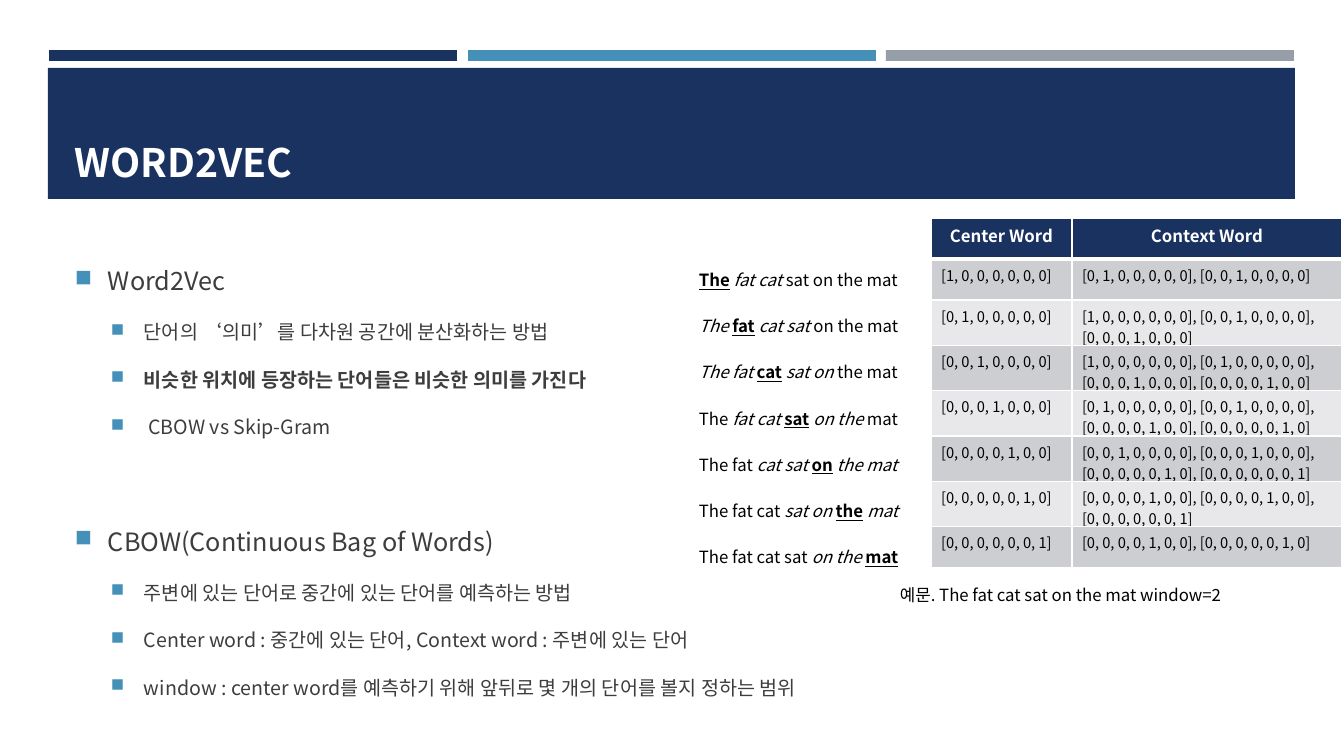
import pptx
import pptx.util
import pptx.dml.color
import pptx.enum.shapes
import pptx.enum.text
import lxml.etree

Pt = pptx.util.Pt
RGB = pptx.dml.color.RGBColor
ALIGN = pptx.enum.text.PP_ALIGN
ANCHOR = pptx.enum.text.MSO_ANCHOR
NAVY = RGB(0x1A, 0x32, 0x60)
BLUE = RGB(0x45, 0x90, 0xB8)
GRAY = RGB(0x96, 0x9F, 0xA7)
DARK = RGB(0x3D, 0x3D, 0x3D)
BLACK = RGB(0, 0, 0)
WHITE = RGB(255, 255, 255)
BANDS = [RGB(0xE8, 0xE8, 0xEA), RGB(0xCD, 0xCE, 0xD2)]
FACE = "Noto Sans CJK KR"
NS = "http://schemas.openxmlformats.org/drawingml/2006/main"


def px(*sizes):
    return [pptx.util.Emu(round(size * 914400 / 100.8)) for size in sizes]


def write(para, text, size, color, bold=False, italic=False, under=False):
    run = para.add_run()
    run.text = text
    font = run.font
    font.size, font.name = Pt(size), FACE
    font.color.rgb = color
    font.bold, font.italic, font.underline = bold, italic, under
    # Korean letters take their face from a:ea
    east = lxml.etree.SubElement(run._r.get_or_add_rPr(), f"{{{NS}}}ea")
    east.set("typeface", FACE)


deck = pptx.Presentation()
deck.slide_width, deck.slide_height = px(1344, 756)
slide = deck.slides.add_slide(deck.slide_layouts[6])
shapes = slide.shapes

# Top bars and title band
bars = [
    (49, 50, 408, 11, NAVY),
    (468, 50, 408, 11, BLUE),
    (886, 50, 408, 11, GRAY),
    (48, 68, 1247, 131, NAVY),
]
for left, top, width, height, color in bars:
    bar = shapes.add_shape(pptx.enum.shapes.MSO_SHAPE.RECTANGLE, *px(left, top, width, height))
    bar.shadow.inherit = False
    bar.fill.solid()
    bar.fill.fore_color.rgb = color
    bar.line.fill.background()

# Title
title = shapes.add_textbox(*px(65, 78, 1216, 112)).text_frame
title.word_wrap = True
title.vertical_anchor = ANCHOR.BOTTOM
write(title.paragraphs[0], "WORD2VEC", 28, WHITE, bold=True)

# Bulleted text: level, text, bold
points = [
    (0, "Word2Vec", False),
    (1, "단어의 ‘의미’를 다차원 공간에 분산화하는 방법", False),
    (1, "비슷한 위치에 등장하는 단어들은 비슷한 의미를 가진다", True),
    (1, " CBOW vs Skip-Gram", False),
    (0, "CBOW(Continuous Bag of Words)", False),
    (1, "주변에 있는 단어로 중간에 있는 단어를 예측하는 방법", False),
    (1, "Center word : 중간에 있는 단어, Context word : 주변에 있는 단어", False),
    (1, "window : center word를 예측하기 위해 앞뒤로 몇 개의 단어를 볼지 정하는 범위", False),
]
body = shapes.add_textbox(*px(65, 236, 1216, 478)).text_frame
body.word_wrap = True
body.vertical_anchor = ANCHOR.MIDDLE
for i, (level, text, bold) in enumerate(points):
    para = body.add_paragraph() if i else body.paragraphs[0]
    para.level = level
    para.line_spacing = 1.5
    para.space_after = Pt(6)
    if i:
        para.space_before = Pt(2.8 if level else 45.6)
    props = para._p.get_or_add_pPr()
    margin, hang = px(69 if level else 33, -33)
    props.set("marL", str(margin))
    props.set("indent", str(hang))
    tint = lxml.etree.SubElement(props, f"{{{NS}}}buClr")
    lxml.etree.SubElement(tint, f"{{{NS}}}srgbClr").set("val", str(BLUE))
    lxml.etree.SubElement(props, f"{{{NS}}}buSzPct").set("val", "92000")
    lxml.etree.SubElement(props, f"{{{NS}}}buChar").set("char", "■")
    write(para, text, 14 if level else 18, DARK, bold)

# Example sentence, once per center word, with a window of two
words = "The fat cat sat on the mat".split()
lines = shapes.add_textbox(*px(689, 239, 226, 329)).text_frame
lines.word_wrap = False
for i, word in enumerate(words):
    para = lines.add_paragraph() if i else lines.paragraphs[0]
    para.line_spacing = 2.29
    low = max(0, i - 2)
    parts = [
        (words[:low], {}),
        (words[low:i], {"italic": True}),
        ([word], {"bold": True, "under": True}),
        (words[i + 1:i + 3], {"italic": True}),
        (words[i + 3:], {}),
    ]
    for part, style in parts:
        if not part:
            continue
        text = " ".join(part)
        ends = part[-1] == words[-1]
        if "under" in style:
            write(para, text, 12, BLACK, **style)
            if not ends:
                write(para, " ", 12, BLACK)
        else:
            write(para, text if ends else text + " ", 12, BLACK, **style)

# Table of one-hot vectors: context positions for each center word
around = [[1, 2], [0, 2, 3], [0, 1, 3, 4], [1, 2, 4, 5], [2, 3, 5, 6], [4, 4, 6], [4, 5]]
codes = [str([int(i == k) for i in range(7)]) for k in range(7)]
rows = [("Center Word", "Context Word")]
for code, near in zip(codes, around):
    rows.append((code, ", ".join(codes[k] for k in near)))
frame = shapes.add_table(len(rows), 2, *px(931, 218, 411, 350))
table = frame.table
table.columns[0].width, table.columns[1].width = px(141, 270)
for r, row in enumerate(rows):
    table.rows[r].height = px(41)[0]
    for c, text in enumerate(row):
        cell = table.cell(r, c)
        props = cell._tc.get_or_add_tcPr()
        for side in "LRTB":
            thick = 3 if (r, side) in [(0, "B"), (1, "T")] else 1
            edge = lxml.etree.SubElement(props, f"{{{NS}}}ln{side}", w=str(Pt(thick)))
            paint = lxml.etree.SubElement(edge, f"{{{NS}}}solidFill")
            lxml.etree.SubElement(paint, f"{{{NS}}}srgbClr").set("val", str(WHITE))
        cell.fill.solid()
        cell.fill.fore_color.rgb = BANDS[r % 2] if r else NAVY
        para = cell.text_frame.paragraphs[0]
        para.alignment = ALIGN.LEFT if r else ALIGN.CENTER
        write(para, text, 10.5 if r else 12, BLACK if r else WHITE, bold=r == 0)
frame.height = px(350)[0]

# Caption under the table
note = shapes.add_textbox(*px(890, 554, 354, 48)).text_frame
note.word_wrap = False
note.paragraphs[0].line_spacing = 2.29
write(note.paragraphs[0], "예문. The fat cat sat on the mat window=2", 12, BLACK)

deck.save("out.pptx")
